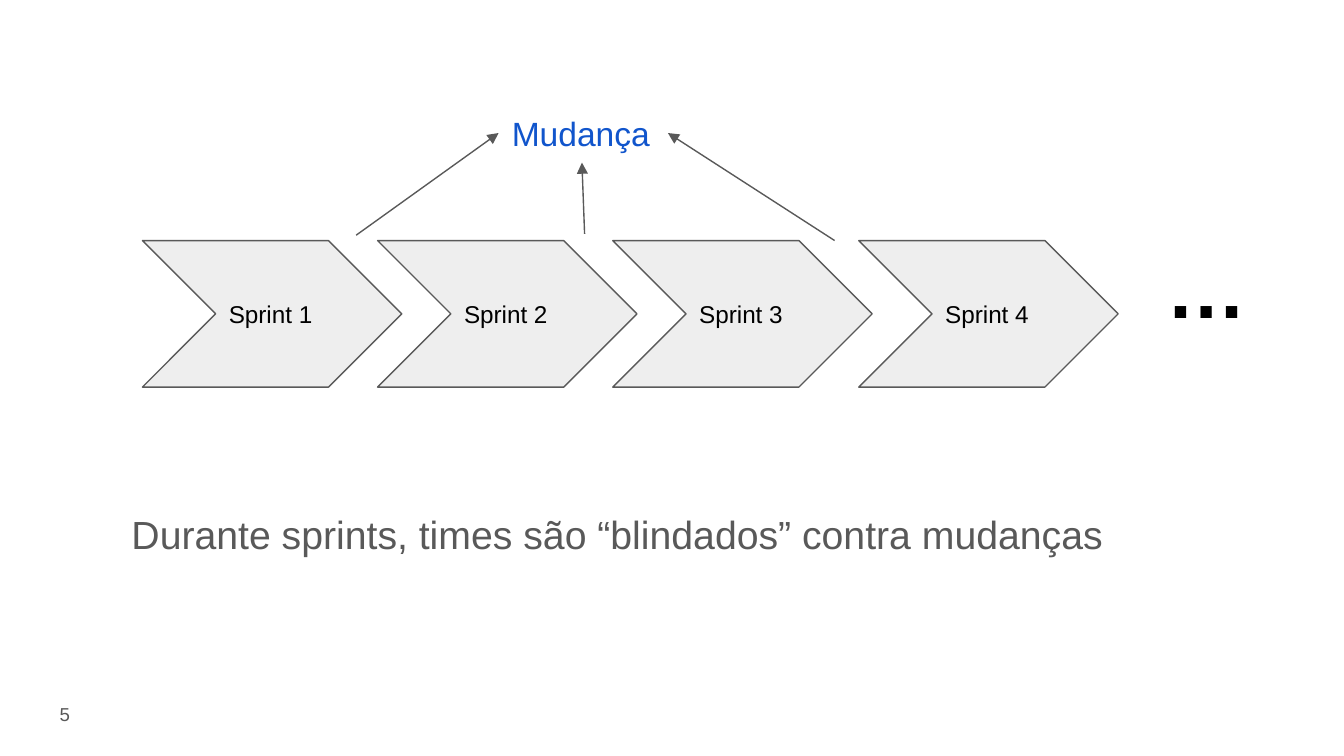
from lxml import etree
from pptx import Presentation
from pptx.dml.color import RGBColor
from pptx.enum.shapes import MSO_CONNECTOR, MSO_SHAPE
from pptx.enum.text import MSO_ANCHOR, MSO_AUTO_SIZE, PP_ALIGN
from pptx.oxml.ns import qn
from pptx.util import Inches, Pt

STRAIGHT = MSO_CONNECTOR.STRAIGHT
CHEVRON = MSO_SHAPE.CHEVRON
TOP, MIDDLE = MSO_ANCHOR.TOP, MSO_ANCHOR.MIDDLE
GROW, FIXED = MSO_AUTO_SIZE.SHAPE_TO_FIT_TEXT, MSO_AUTO_SIZE.NONE
LEFT, RIGHT = PP_ALIGN.LEFT, PP_ALIGN.RIGHT

GREY, BLACK, BLUE, PALE = "595959", "000000", "1155CC", "EEEEEE"
LEFT_SIDE = 1


def color(value):
    """Return the colour for a hex string."""
    return RGBColor.from_string(value)


def write(shape, text, size, ink, bold=False, anchor=TOP, align=LEFT, fit=FIXED):
    """Put one formatted line of text into a shape."""
    frame = shape.text_frame
    margins = {f"margin_{side}": Inches(0.1) for side in ("left", "top", "right", "bottom")}
    layout = {"word_wrap": True, "auto_size": fit, "vertical_anchor": anchor, **margins}
    for name, value in layout.items():
        setattr(frame, name, value)
    para = frame.paragraphs[0]
    para.alignment = align
    span = para.add_run()
    span.text = text
    for name, value in {"name": "Arial", "size": Pt(size), "bold": bold}.items():
        setattr(span.font, name, value)
    span.font.color.rgb = color(ink)


def add_text(page, box, text, size, ink, **style):
    """Add a text box and return it."""
    label = page.shapes.add_textbox(*map(Inches, box))
    write(label, text, size, ink, **style)
    return label


def add_sprint(page, box, text):
    """Add one sprint chevron."""
    sprint = page.shapes.add_shape(CHEVRON, *map(Inches, box))
    sprint.shadow.inherit = False
    sprint.adjustments[0] = 0.5
    sprint.fill.solid()
    sprint.fill.fore_color.rgb = color(PALE)
    sprint.line.color.rgb = color(GREY)
    sprint.line.width = Pt(0.75)
    write(sprint, text, 13, BLACK, anchor=MIDDLE)


def add_arrow(page, start, end):
    """Add a straight arrow and return it."""
    arrow = page.shapes.add_connector(STRAIGHT, *map(Inches, start + end))
    arrow.line.color.rgb = color(GREY)
    arrow.line.width = Pt(0.75)
    outline = arrow._element.spPr.find(qn("a:ln"))
    etree.SubElement(outline, qn("a:tailEnd"), type="triangle")
    etree.SubElement(arrow._element.spPr, qn("a:effectLst"))
    return arrow


def add_timeline(page, box):
    """Add the row of sprints and the dots after it."""
    left, top, _, height = box
    for number, offset in enumerate((0, 1.75, 3.5, 5.33), start=1):
        add_sprint(page, (left + offset, top, 1.93, height), f"Sprint {number}")
    add_text(page, (left + 7.52, top - 0.12, 1.07, 0.93), "…", 43, BLACK, bold=True, fit=GROW)


def add_change(page, box):
    """Add the change label and the arrows that lead to it from between sprints."""
    left, top, width, height = box
    middle = top + height / 2
    label = add_text(page, box, "Mudança", 18, BLUE, fit=GROW)
    first = add_arrow(page, (left - 1.06, top + 1.01), (left, middle))
    first.end_connect(label, LEFT_SIDE)
    add_arrow(page, (left + 2.5, top + 1.05), (left + 1.26, middle))
    add_arrow(page, (left + 0.64, top + 1), (left + 0.62, top + 0.47))


def main():
    """Build the deck."""
    deck = Presentation()
    deck.slide_width = Inches(10)
    deck.slide_height = deck.slide_width * 9 // 16
    page = deck.slides.add_slide(deck.slide_layouts[6])
    add_text(page, (0.02, 5.1, 0.6, 0.43), "5", 10, GREY, anchor=MIDDLE, align=RIGHT)
    add_timeline(page, (1.06, 1.79, 8.59, 1.09))
    add_change(page, (3.71, 0.74, 1.43, 0.5))
    message = "Durante sprints, times são “blindados” contra mudanças"
    add_text(page, (0.88, 3.7, 7.59, 0.56), message, 21, GREY, fit=GROW)
    deck.save("out.pptx")


if __name__ == "__main__":
    main()
